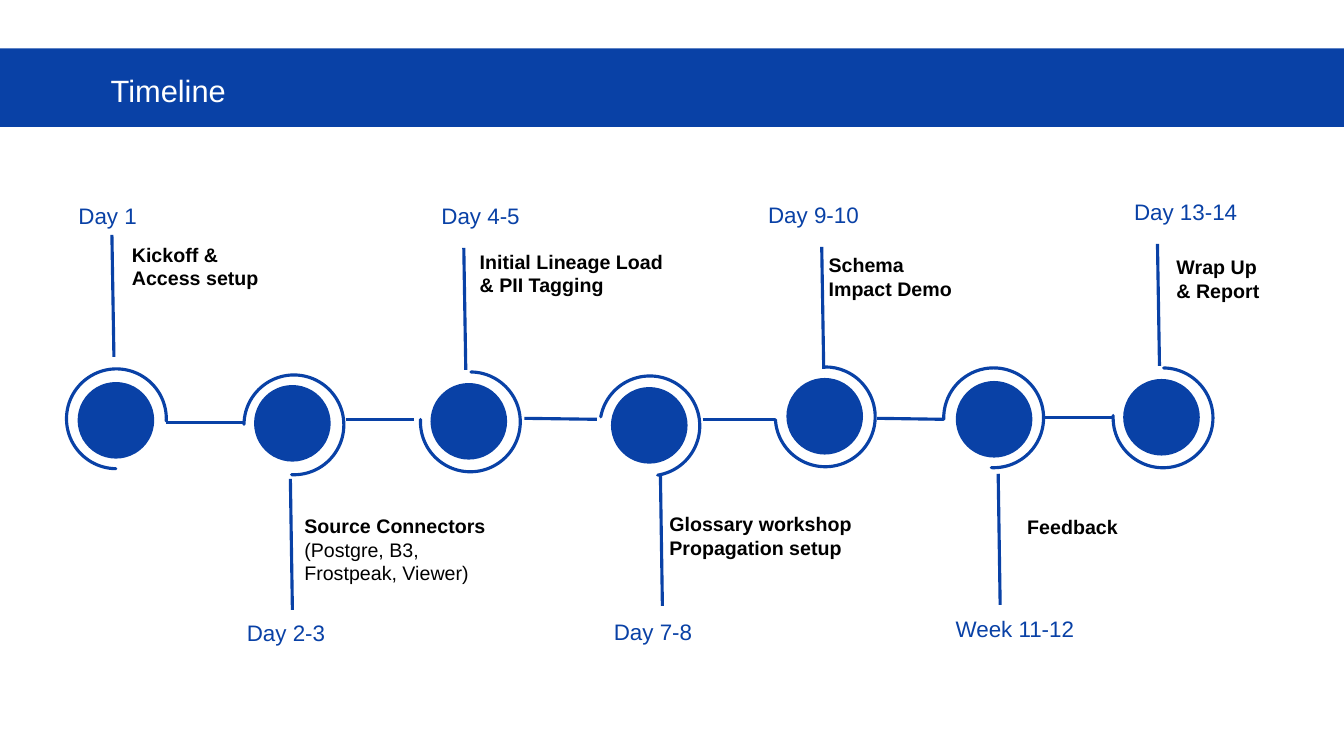
"""Build a two-week project timeline slide with seven milestones."""
from dataclasses import dataclass

import pptx
import pptx.dml.color
import pptx.enum.shapes
import pptx.enum.text
import pptx.oxml
import pptx.oxml.ns
import pptx.util
from pptx.util import Inches

COLORS = {"blue": "0941A6", "ring": "4472C4", "black": "000000", "white": "FFFFFF"}
SHAPES = pptx.enum.shapes.MSO_SHAPE
DOT_SIZE = 0.76
RING_SIZE = 0.99
STEM_LEAN = 0.02
STEM_ABOVE = 1.21
STEM_BELOW = 1.3
Point = tuple[float, float]
Box = tuple[float, float, float, float]


@dataclass(frozen=True)
class Milestone:
    day: str
    day_box: Box
    heading: tuple[str, ...]
    note_box: Box
    dot: Point
    ring: Point
    stem: Point
    stem_length: float
    rotation: float = 0
    arc_start: float = 54.397
    detail: tuple[str, ...] = ()


@dataclass(frozen=True)
class Link:
    start: Point
    end: Point


MILESTONES = [
    Milestone("Day 1", (0.68, 1.96, 0.85, 0.37), ("Kickoff &", "Access setup"),
              (1.21, 2.36, 2.83, 0.57), (0.77, 3.79), (0.66, 3.66), (1.11, 2.33), STEM_ABOVE),
    Milestone("Day 2-3", (2.35, 6.09, 1.05, 0.37), ("Source Connectors",),
              (2.92, 5.05, 2.15, 0.81), (2.52, 3.82), (2.42, 3.72), (2.88, 4.75), STEM_BELOW,
              rotation=90, detail=("(Postgre, B3, Frostpeak, Viewer)",)),
    Milestone("Day 4-5", (4.28, 1.96, 1.05, 0.37), ("Initial Lineage Load & PII Tagging",),
              (4.66, 2.43, 2.03, 0.57), (4.27, 3.8), (4.17, 3.69), (4.6, 2.46), STEM_ABOVE,
              rotation=180),
    Milestone("Day 7-8", (5.99, 6.08, 0.99, 0.37), ("Glossary workshop", "Propagation setup"),
              (6.54, 5.03, 2.02, 0.57), (6.06, 3.84), (5.95, 3.73), (6.55, 4.71), STEM_BELOW,
              rotation=78.3, arc_start=67.269),
    Milestone("Day 9-10", (7.52, 1.95, 1.11, 0.37), ("Schema Impact Demo",),
              (8.12, 2.46, 1.46, 0.57), (7.8, 3.75), (7.69, 3.64), (8.15, 2.45), STEM_ABOVE,
              rotation=174, arc_start=57.397),
    Milestone("Week 11-12", (9.38, 6.05, 1.45, 0.37), ("Feedback",),
              (10.09, 5.06, 1.5, 0.34), (9.48, 3.78), (9.36, 3.65), (9.9, 4.7), STEM_BELOW,
              rotation=90, arc_start=52.995),
    Milestone("Day 13-14", (11.15, 1.92, 1.3, 0.37), ("Wrap Up", "& Report"),
              (11.57, 2.48, 1.46, 0.57), (11.14, 3.76), (11.04, 3.65), (11.48, 2.42), STEM_ABOVE,
              rotation=180),
]

LINKS = [
    Link((1.65, 4.19), (2.42, 4.19)),
    Link((3.43, 4.16), (4.11, 4.16)),
    Link((5.2, 4.15), (5.92, 4.16)),
    Link((6.97, 4.16), (7.69, 4.16)),
    Link((8.7, 4.15), (9.36, 4.16)),
    Link((10.35, 4.14), (11.05, 4.14)),
]


def rgb(name: str) -> pptx.dml.color.RGBColor:
    return pptx.dml.color.RGBColor.from_string(COLORS[name])


def add_text(slide, box: Box, *lines: str, size: float, color: str, wrap: bool = False,
             bold_lines: int = 0) -> None:
    frame = slide.shapes.add_textbox(*map(Inches, box)).text_frame
    frame.word_wrap = wrap
    frame.auto_size = pptx.enum.text.MSO_AUTO_SIZE.SHAPE_TO_FIT_TEXT
    for index, line in enumerate(lines):
        paragraph = frame.add_paragraph() if index else frame.paragraphs[0]
        run = paragraph.add_run()
        run.text = line
        run.font.name = "Arial"
        run.font.size = pptx.util.Pt(size)
        run.font.bold = index < bold_lines
        run.font.color.rgb = rgb(color)


def add_solid(slide, kind: SHAPES, box: Box, fill: str):
    solid = slide.shapes.add_shape(kind, *map(Inches, box))
    solid.shadow.inherit = False
    solid.fill.solid()
    solid.fill.fore_color.rgb = rgb(fill)
    solid.line.fill.background()
    return solid


def set_stroke(line) -> None:
    line.color.rgb = rgb("blue")
    line.width = pptx.util.Pt(2.25)


def add_line(slide, start: Point, end: Point) -> None:
    connector = slide.shapes.add_connector(
        pptx.enum.shapes.MSO_CONNECTOR.STRAIGHT, *map(Inches, start + end))
    set_stroke(connector.line)
    properties = connector._element.spPr
    properties.append(pptx.oxml.parse_xml(
        f"<a:effectLst {pptx.oxml.ns.nsdecls('a')}/>"))


def add_milestone(slide, stage: Milestone) -> None:
    add_solid(slide, SHAPES.OVAL, (*stage.dot, DOT_SIZE, DOT_SIZE), "blue")

    ring = add_solid(slide, SHAPES.BLOCK_ARC, (*stage.ring, RING_SIZE, RING_SIZE), "ring")
    for index, value in enumerate((stage.arc_start, 1.619, 0)):
        ring.adjustments[index] = value
    ring.rotation = stage.rotation
    set_stroke(ring.line)

    left, top = stage.stem
    add_line(slide, stage.stem, (left + STEM_LEAN, top + stage.stem_length))
    add_text(slide, stage.day_box, stage.day, size=16, color="blue")
    add_text(slide, stage.note_box, *stage.heading, *stage.detail, size=14, color="black",
             wrap=True, bold_lines=len(stage.heading))


def main() -> None:
    deck = pptx.Presentation()
    deck.slide_width = Inches(13.33)
    deck.slide_height = Inches(7.5)
    slide = deck.slides.add_slide(deck.slide_layouts[6])

    add_solid(slide, SHAPES.RECTANGLE, (-0.04, 0.48, 13.37, 0.78), "blue")
    add_text(slide, (1, 0.66, 1.36, 0.47), "Timeline", size=22, color="white")
    for link in LINKS:
        add_line(slide, link.start, link.end)
    for stage in MILESTONES:
        add_milestone(slide, stage)

    deck.save("out.pptx")


if __name__ == "__main__":
    main()
